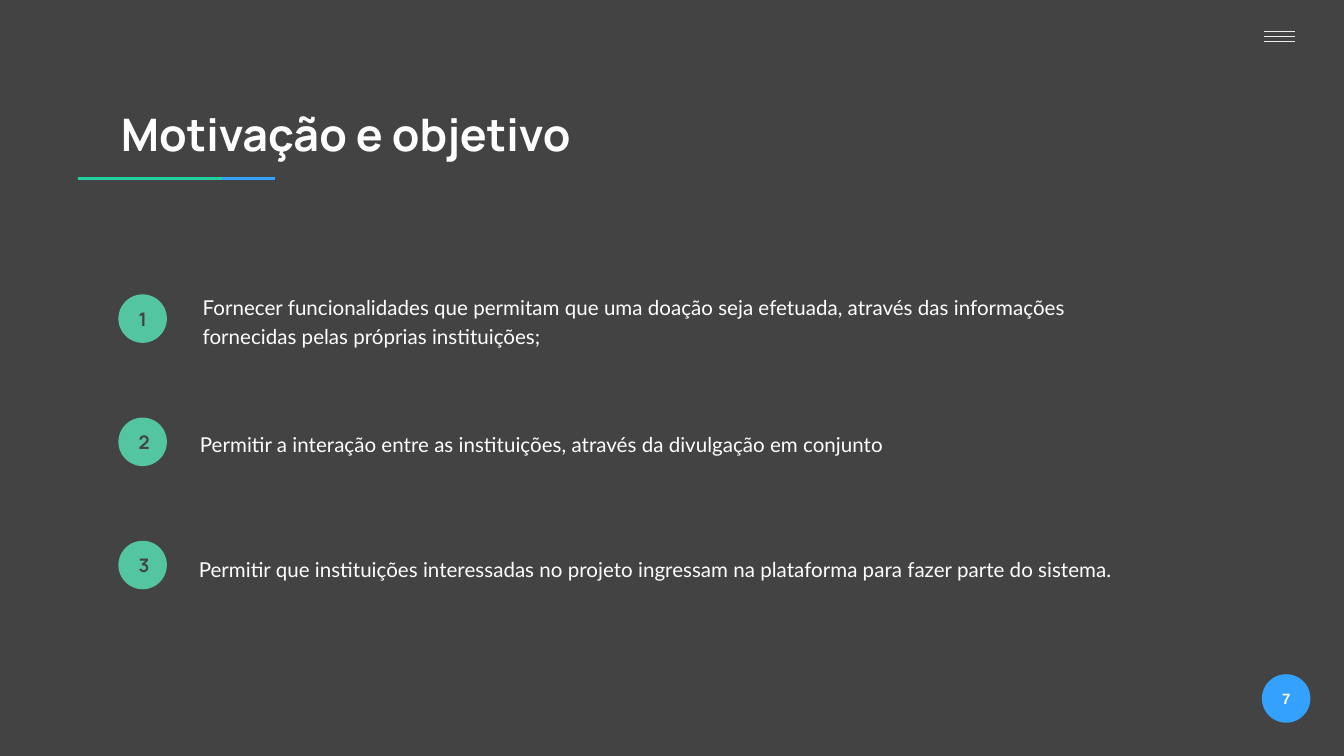
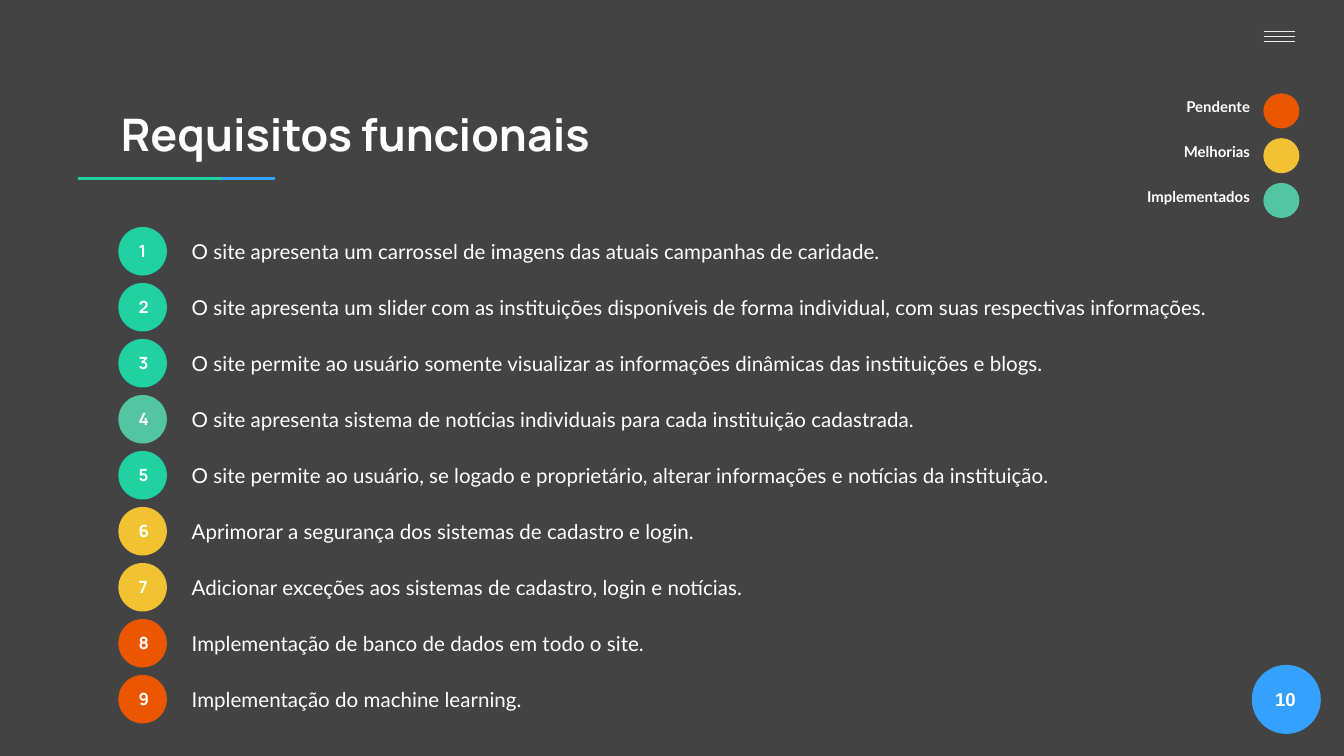
from dataclasses import dataclass

from lxml.etree import SubElement
from pptx import Presentation
from pptx.dml.color import RGBColor
from pptx.enum.shapes import MSO_CONNECTOR, MSO_SHAPE
from pptx.enum.text import MSO_ANCHOR, MSO_AUTO_SIZE, PP_ALIGN
from pptx.oxml.ns import qn
from pptx.util import Pt


@dataclass(frozen=True)
class Theme:
    background: str = "434343"
    white: str = "FFFFFF"
    menu: str = "E9EDEE"
    blue: str = "33A1FD"
    green: str = "21D19F"
    soft_green: str = "53C6A1"
    yellow: str = "F1C232"
    orange: str = "EB5600"
    heading_font: str = "Manrope"
    body_font: str = "Lato"
    page_font: str = "Arial"
    title_size: float = 24
    body_size: float = 11
    number_size: float = 10
    small_number_size: float = 9
    label_size: float = 8


THEME = Theme()
INSET = 7.2
LEFT, RIGHT, CENTER = PP_ALIGN.LEFT, PP_ALIGN.RIGHT, PP_ALIGN.CENTER

# Goal: text, left, top, height of its box
GOALS = [
    ("Fornecer funcionalidades que permitam que uma doação seja efetuada, "
     "através das informações fornecidas pelas próprias instituições;", 65.5, 149, 43),
    ("Permitir a interação entre as instituições, através da divulgação em conjunto",
     64, 222.5, 28),
    ("Permitir que instituições interessadas no projeto ingressam na plataforma "
     "para fazer parte do sistema.", 63.4, 289.5, 28),
]

REQUIREMENTS = [
    ("O site apresenta um carrossel de imagens das atuais campanhas de caridade.",
     THEME.green),
    ("O site apresenta um slider com as instituições disponíveis de forma individual, "
     "com suas respectivas informações.", THEME.green),
    ("O site permite ao usuário somente visualizar as informações dinâmicas das "
     "instituições e blogs.", THEME.green),
    ("O site apresenta sistema de notícias individuais para cada instituição cadastrada.",
     THEME.soft_green),
    ("O site permite ao usuário, se logado e proprietário, alterar informações e "
     "notícias da instituição.", THEME.green),
    ("Aprimorar a segurança dos sistemas de cadastro e login.", THEME.yellow),
    ("Adicionar exceções aos sistemas de cadastro, login e notícias.", THEME.yellow),
    ("Implementação de banco de dados em todo o site.", THEME.orange),
    ("Implementação do machine learning.", THEME.orange),
]

# Status: label, colour, width of the label box
STATUSES = [
    ("Pendente", THEME.orange, 104.4),
    ("Melhorias", THEME.yellow, 97.2),
    ("Implementados", THEME.soft_green, 97.2),
]

BULLET_LEFT, BULLET_SIZE = 63.4, 26
GOAL_TOP, GOAL_STEP, GOAL_WIDTH, GOAL_INDENT = 157.7, 66, 563, 36
REQUIREMENT_TOP, REQUIREMENT_STEP = 121.6, 30
REQUIREMENT_LEFT, REQUIREMENT_WIDTH = 95.6, 605.5
STATUS_LEFT, STATUS_TOP, STATUS_STEP = 676.8, 50, 24
MENU_LEFT, MENU_TOP, MENU_WIDTH, MENU_STEP = 677, 17, 17, 2.6
ACCENT_TOP, ACCENT_HEIGHT = 94.9, 1.5
ACCENTS = [(41.8, 77.1, THEME.green), (118.9, 28.4, THEME.blue)]


def points(*lengths):
    return [Pt(length) for length in lengths]


def write(shape, text, font, anchor=MSO_ANCHOR.TOP, fit=MSO_AUTO_SIZE.NONE, **paragraph_format):
    """Fill a shape with one paragraph; font is (name, size, colour, bold)."""
    frame = shape.text_frame
    frame_format = dict(word_wrap=True, auto_size=fit, vertical_anchor=anchor)
    for side in ("left", "top", "right", "bottom"):
        frame_format[f"margin_{side}"] = Pt(INSET)
    for key, value in frame_format.items():
        setattr(frame, key, value)
    para = frame.paragraphs[0]
    for key, value in paragraph_format.items():
        setattr(para, key, value)
    span = para.add_run()
    span.text = text
    name, size, colour, bold = font
    for key, value in dict(name=name, size=Pt(size), bold=bold).items():
        setattr(span.font, key, value)
    span.font.color.rgb = RGBColor.from_string(colour)
    return para


def add_solid(page, kind, box, colour):
    shape = page.shapes.add_shape(kind, *points(*box))
    shape.shadow.inherit = False
    shape.fill.solid()
    shape.fill.fore_color.rgb = RGBColor.from_string(colour)
    shape.line.fill.background()
    return shape


def add_circle(page, box, colour, text, font, alignment=CENTER):
    circle = add_solid(page, MSO_SHAPE.OVAL, box, colour)
    write(circle, text, font, anchor=MSO_ANCHOR.MIDDLE, alignment=alignment)


def add_text(page, box, text, font, **paragraph_format):
    shape = page.shapes.add_textbox(*points(*box))
    return write(shape, text, font, fit=MSO_AUTO_SIZE.SHAPE_TO_FIT_TEXT, **paragraph_format)


def add_page(deck, title):
    """Add a slide with the shared accent bar, menu mark and title."""
    page = deck.slides.add_slide(deck.slide_layouts[5])
    for left, width, colour in ACCENTS:
        add_solid(page, MSO_SHAPE.RECTANGLE, (left, ACCENT_TOP, width, ACCENT_HEIGHT), colour)
    for row in range(3):
        y = MENU_TOP + row * MENU_STEP
        line = page.shapes.add_connector(
            MSO_CONNECTOR.STRAIGHT, *points(MENU_LEFT, y, MENU_LEFT + MENU_WIDTH, y))
        line.line.width = Pt(0.75)
        line.line.color.rgb = RGBColor.from_string(THEME.menu)
        SubElement(line._element.spPr, qn("a:effectLst"))
    heading = page.shapes.title
    heading.left, heading.top, heading.width, heading.height = points(57.6, 49.7, 605.5, 42.5)
    write(heading, title, (THEME.heading_font, THEME.title_size, THEME.white, True),
          alignment=LEFT)
    return page


def add_page_number(page, box, number, size, alignment):
    add_circle(page, box, THEME.blue, number, (THEME.page_font, size, THEME.white, True),
               alignment)


def build_goals(deck, body):
    page = add_page(deck, "Motivação e objetivo")
    add_page_number(page, (676, 361.2, BULLET_SIZE, BULLET_SIZE), "7", THEME.label_size, CENTER)
    number_font = (THEME.heading_font, THEME.number_size, THEME.background, True)
    for index, (text, left, top, height) in enumerate(GOALS):
        bullet = (BULLET_LEFT, GOAL_TOP + index * GOAL_STEP, BULLET_SIZE, BULLET_SIZE)
        add_circle(page, bullet, THEME.soft_green, str(index + 1), number_font)
        para = add_text(page, (left, top, GOAL_WIDTH, height), text, body,
                        line_spacing=1.15, space_after=Pt(16))
        properties = para._p.get_or_add_pPr()
        properties.set("marL", str(Pt(GOAL_INDENT)))
        properties.set("indent", "0")


def build_requirements(deck, body):
    page = add_page(deck, "Requisitos funcionais")
    number_font = (THEME.heading_font, THEME.small_number_size, THEME.white, True)
    for index, (text, colour) in enumerate(REQUIREMENTS):
        top = REQUIREMENT_TOP + index * REQUIREMENT_STEP
        add_circle(page, (BULLET_LEFT, top, BULLET_SIZE, BULLET_SIZE), colour,
                   str(index + 1), number_font)
        add_text(page, (REQUIREMENT_LEFT, top, REQUIREMENT_WIDTH, 28), text, body)

    label_font = (THEME.body_font, THEME.label_size, THEME.white, True)
    for index, (label, colour, width) in enumerate(STATUSES):
        top = STATUS_TOP + index * STATUS_STEP
        add_solid(page, MSO_SHAPE.OVAL, (STATUS_LEFT, top, 19.3, 18.8), colour)
        add_text(page, (STATUS_LEFT - width, top - 2.5, width, 24.2), label, label_font,
                 alignment=RIGHT)
    add_page_number(page, (670.6, 356.2, 37, 37), "10", THEME.number_size, LEFT)


def main():
    deck = Presentation()
    deck.slide_width, deck.slide_height = points(720, 405)
    backdrop = deck.slide_master.background.fill
    backdrop.solid()
    backdrop.fore_color.rgb = RGBColor.from_string(THEME.background)
    body = (THEME.body_font, THEME.body_size, THEME.white, False)
    build_goals(deck, body)
    build_requirements(deck, body)
    deck.save("out.pptx")


if __name__ == "__main__":
    main()
